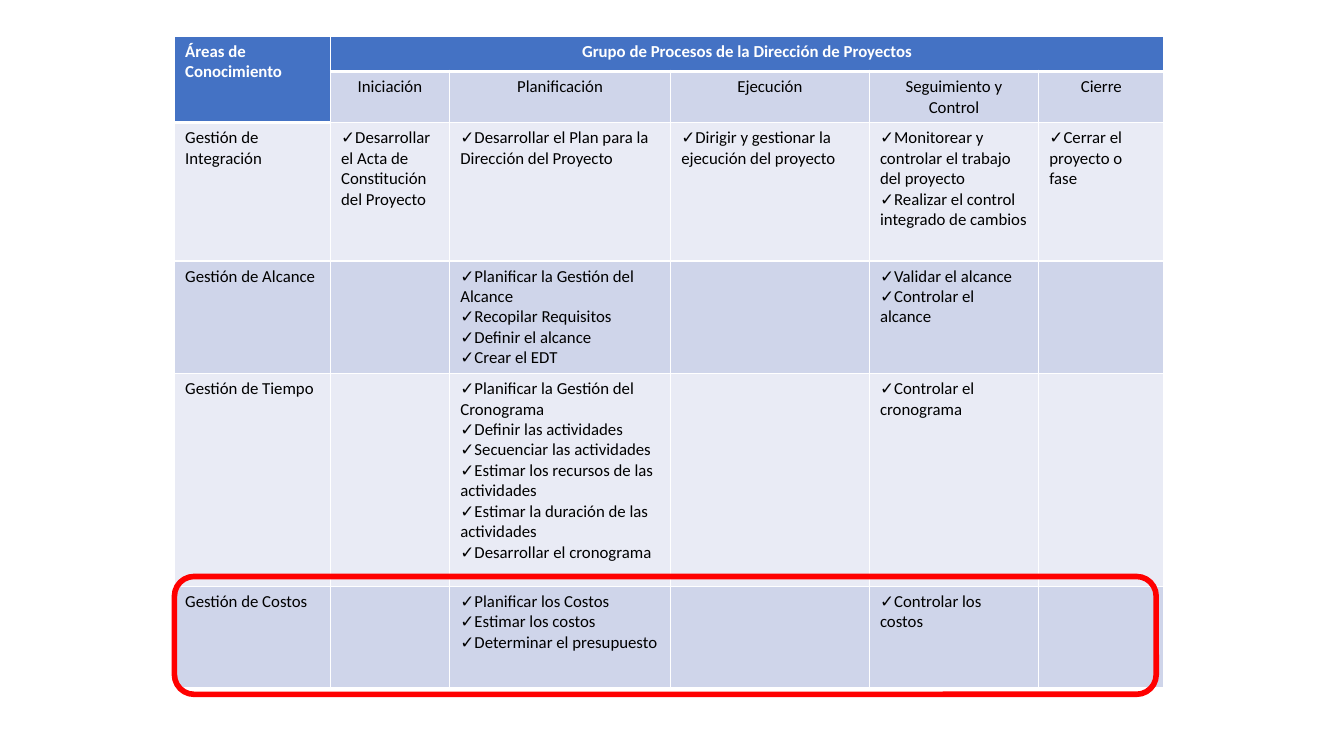
from dataclasses import dataclass

from lxml.etree import Element, SubElement
from pptx import Presentation
from pptx.dml.color import RGBColor
from pptx.enum.shapes import MSO_SHAPE
from pptx.enum.text import PP_ALIGN
from pptx.oxml.ns import qn
from pptx.slide import Slide
from pptx.table import Table, _Cell
from pptx.util import Pt

BLUE = RGBColor(0x44, 0x72, 0xC4)
DARK = RGBColor(0xCF, 0xD5, 0xEA)
LIGHT = RGBColor(0xE9, 0xEB, 0xF5)
WHITE = RGBColor(0xFF, 0xFF, 0xFF)
BLACK = RGBColor(0, 0, 0)
RED = RGBColor(0xFF, 0, 0)

FONT = "Calibri"
WIDTHS = (111.4, 85.2, 157.8, 142, 121, 89.6)
HEIGHTS = (25.2, 33.1, 98.9, 72.7, 151.9, 72.7)
LEFT, TOP = 124.6, 25.9
INSET = 7.7
THIN, THICK = 1, 3
PHASES = ("Iniciación", "Planificación", "Ejecución", "Seguimiento y Control", "Cierre")


@dataclass
class Area:
    name: str
    plan: tuple[str, ...]
    control: tuple[str, ...]
    start: tuple[str, ...] = ()
    run: tuple[str, ...] = ()
    close: tuple[str, ...] = ()


@dataclass
class Style:
    color: RGBColor = BLACK
    bold: bool = False
    align: PP_ALIGN = PP_ALIGN.LEFT
    tick: bool = False


AREAS = (
    Area(
        "Gestión de Integración",
        plan=("Desarrollar el Plan para la Dirección del Proyecto",),
        control=("Monitorear y controlar el trabajo del proyecto",
                 "Realizar el control integrado de cambios"),
        start=("Desarrollar el Acta de Constitución del Proyecto",),
        run=("Dirigir y gestionar la ejecución del proyecto",),
        close=("Cerrar el proyecto o fase",),
    ),
    Area(
        "Gestión de Alcance",
        plan=("Planificar la Gestión del Alcance", "Recopilar Requisitos",
              "Definir el alcance", "Crear el EDT"),
        control=("Validar el alcance", "Controlar el alcance"),
    ),
    Area(
        "Gestión de Tiempo",
        plan=("Planificar la Gestión del Cronograma", "Definir las actividades",
              "Secuenciar las actividades", "Estimar los recursos de las actividades",
              "Estimar la duración de las actividades", "Desarrollar el cronograma"),
        control=("Controlar el cronograma",),
    ),
    Area(
        "Gestión de Costos",
        plan=("Planificar los Costos", "Estimar los costos", "Determinar el presupuesto"),
        control=("Controlar los costos",),
    ),
)

HEAD = Style(WHITE, True)
TITLE = Style(WHITE, True, PP_ALIGN.CENTER)
PHASE = Style(align=PP_ALIGN.CENTER)
NAME = Style()
TASK = Style(tick=True)


def write(cell: _Cell, lines: tuple[str, ...], style: Style) -> None:
    frame = cell.text_frame
    for i, line in enumerate(lines):
        para = frame.add_paragraph() if i else frame.paragraphs[0]
        if style.tick:
            props = para._p.get_or_add_pPr()
            SubElement(props, qn("a:buFont"), typeface=FONT)
            SubElement(props, qn("a:buChar"), char="✓")
        para.alignment = style.align
        run = para.add_run()
        run.text = line
        run.font.name = FONT
        run.font.size = Pt(12)
        run.font.bold = style.bold
        run.font.color.rgb = style.color


def edge(cell: _Cell, sides: dict[str, float]) -> None:
    """Draw white borders, with sides in schema order: L, R, T, B."""
    props = cell._tc.get_or_add_tcPr()
    for i, (side, width) in enumerate(sides.items()):
        line = Element(qn(f"a:ln{side}"), w=str(Pt(width)))
        fill = SubElement(line, qn("a:solidFill"))
        SubElement(fill, qn("a:srgbClr"), val=str(WHITE))
        props.insert(i, line)


def paint(table: Table) -> None:
    """Fill and border every cell, with a thick rule below the headings."""
    for r in range(len(HEIGHTS)):
        for c in range(len(WIDTHS)):
            cell = table.cell(r, c)
            head = r == 0 or (r == 1 and c == 0)
            cell.margin_left = cell.margin_right = Pt(INSET)
            cell.fill.solid()
            cell.fill.fore_color.rgb = BLUE if head else DARK if r % 2 else LIGHT
            sides = {"L": THIN} if c == 0 else {}
            sides["R"] = THIN
            if r == 0:
                sides["T"] = THIN
            sides["B"] = THICK if head else THIN
            edge(cell, sides)


def add_grid(slide: Slide) -> None:
    table = slide.shapes.add_table(
        len(HEIGHTS), len(WIDTHS), Pt(LEFT), Pt(TOP), Pt(sum(WIDTHS)), Pt(sum(HEIGHTS))
    ).table
    table.first_row = table.horz_banding = False
    for col, width in zip(table.columns, WIDTHS):
        col.width = Pt(width)
    for row, height in zip(table.rows, HEIGHTS):
        row.height = Pt(height)
    paint(table)

    table.cell(0, 0).merge(table.cell(1, 0))
    table.cell(0, 1).merge(table.cell(0, 5))
    write(table.cell(0, 0), ("Áreas de Conocimiento",), HEAD)
    write(table.cell(0, 1), ("Grupo de Procesos de la Dirección de Proyectos",), TITLE)
    for c, phase in enumerate(PHASES, 1):
        write(table.cell(1, c), (phase,), PHASE)
    for r, area in enumerate(AREAS, 2):
        write(table.cell(r, 0), (area.name,), NAME)
        tasks = (area.start, area.plan, area.run, area.control, area.close)
        for c, lines in enumerate(tasks, 1):
            write(table.cell(r, c), lines, TASK)


def add_frame(slide: Slide) -> None:
    """Outline the cost row in red."""
    frame = slide.shapes.add_shape(
        MSO_SHAPE.ROUNDED_RECTANGLE, Pt(LEFT), Pt(411.8), Pt(701.3), Pt(84.2)
    )
    frame.shadow.inherit = False
    frame.fill.background()
    frame.line.color.rgb = RED
    frame.line.width = Pt(4)


def main() -> None:
    deck = Presentation()
    deck.slide_width, deck.slide_height = Pt(960), Pt(540)
    slide = deck.slides.add_slide(deck.slide_layouts[6])
    add_grid(slide)
    add_frame(slide)
    deck.save("out.pptx")


if __name__ == "__main__":
    main()
